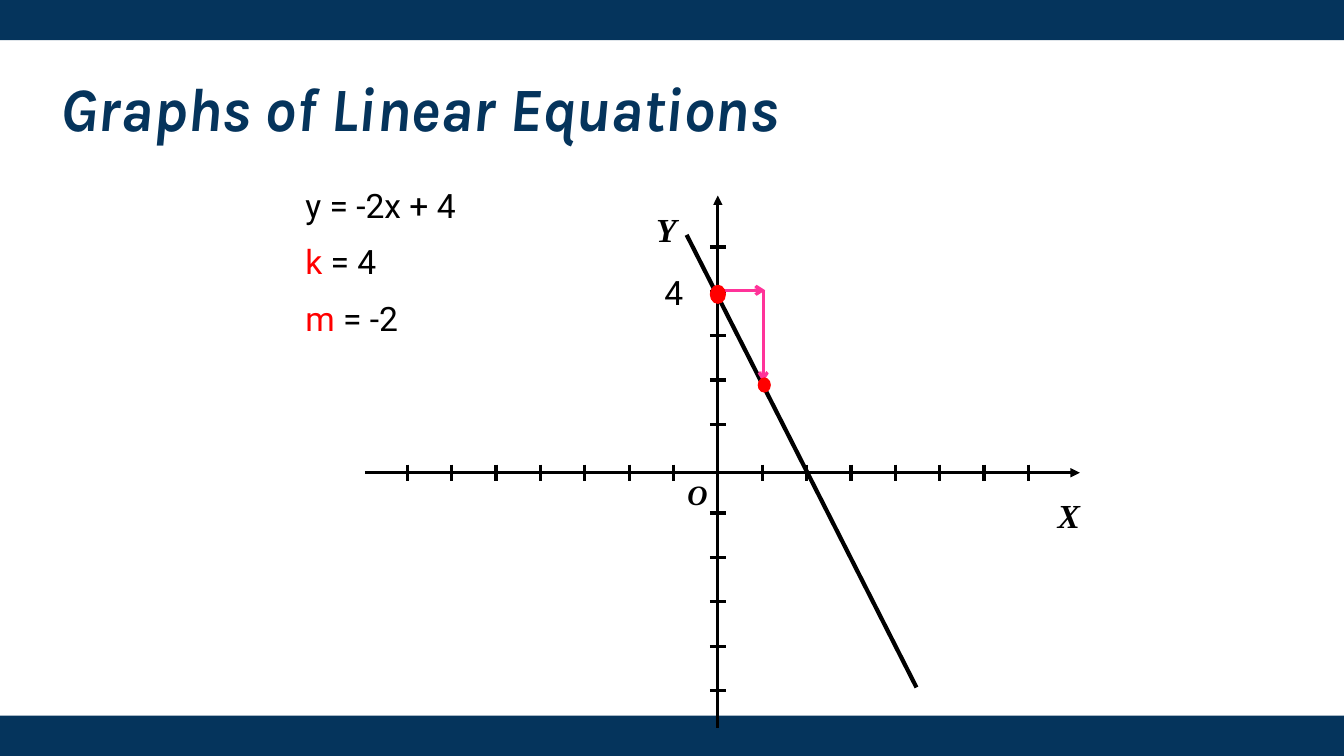
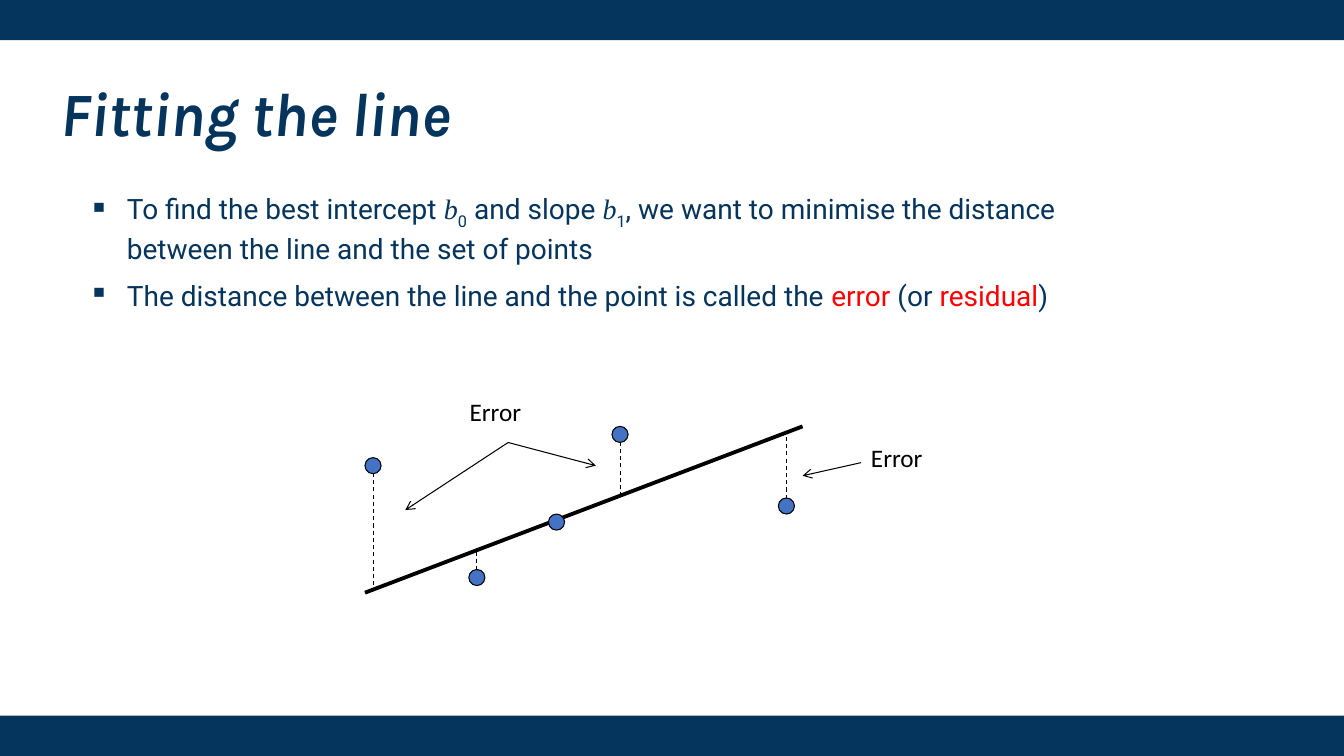
"""Build two slides on linear equations and line fitting."""
from pptx import Presentation
from pptx.dml.color import RGBColor
from pptx.enum.dml import MSO_LINE
from pptx.enum.shapes import MSO_CONNECTOR, MSO_SHAPE
from pptx.enum.text import MSO_ANCHOR
from pptx.oxml.ns import qn
from pptx.util import Inches, Pt
from lxml.etree import SubElement

NAVY, BLACK, RED, PINK, BLUE = "05345C", "000000", "FF0000", "FF3399", "4472C4"
WIDTH, HEIGHT, BAND = 13.33, 7.5, 0.4
HEAD = dict(name="Karla", size=44, color=NAVY, bold=True, italic=True)
MATH = dict(name="Times New Roman", size=24, bold=True, italic=True)
VAR = dict(name="Times New Roman", italic=True)
SUB = dict(base=-30000)


def rgb(code):
    """Turn a hex string into a colour."""
    return RGBColor.from_string(code)


def style(font, name=None, size=None, color=None, bold=None, italic=None):
    """Set the given font traits."""
    if name:
        font.name = name
    if size:
        font.size = Pt(size)
    if color:
        font.color.rgb = rgb(color)
    if bold is not None:
        font.bold = bold
    if italic is not None:
        font.italic = italic


def bullet(para):
    """Give a paragraph a square bullet and a hanging indent."""
    props = para._p.get_or_add_pPr()
    props.set("marL", str(Inches(0.38)))
    props.set("indent", str(-Inches(0.38)))
    SubElement(props, qn("a:buChar"), char="▪")


def text(slide, box, paras, font, gap=0, lead=None, dots=False, anchor=MSO_ANCHOR.TOP):
    """Add a text box; each paragraph is a list of (words, traits) runs."""
    frame = slide.shapes.add_textbox(*map(Inches, box)).text_frame
    frame.word_wrap = True
    frame.vertical_anchor = anchor
    for i, runs in enumerate(paras):
        para = frame.add_paragraph() if i else frame.paragraphs[0]
        if dots:
            bullet(para)
        if i:
            para.space_before = Pt(gap)
        if lead:
            para.line_spacing = lead
        style(para.font, **{"color": BLACK, **font})
        for words, traits in runs:
            run = para.add_run()
            run.text = words
            traits = dict(traits)
            base = traits.pop("base", None)
            style(run.font, **traits)
            if base:
                run._r.get_or_add_rPr().set("baseline", str(base))


def label(slide, box, words, font):
    """Add a text box with one plain line."""
    text(slide, box, [[(words, {})]], font)


def line(slide, start, end, width, color=BLACK, head=None, dash=False):
    """Draw a straight line, with an arrowhead at its end if named."""
    link = slide.shapes.add_connector(
        MSO_CONNECTOR.STRAIGHT, *map(Inches, (*start, *end)))
    link.line.color.rgb = rgb(color)
    link.line.width = Pt(width)
    if dash:
        link.line.dash_style = MSO_LINE.DASH
    props = link.element.spPr
    if head:
        SubElement(props.find(qn("a:ln")), qn("a:tailEnd"), type=head)
    SubElement(props, qn("a:effectLst"))


def shape(slide, kind, box, fill, edge=None):
    """Add a filled preset shape."""
    item = slide.shapes.add_shape(kind, *map(Inches, box))
    item.shadow.inherit = False
    item.fill.solid()
    item.fill.fore_color.rgb = rgb(fill)
    if edge:
        item.line.color.rgb = rgb(edge)
        item.line.width = Pt(0.75)
    else:
        item.line.fill.background()


def dot(slide, x, y, w, h, fill, edge):
    """Add an ellipse centred on a point."""
    shape(slide, MSO_SHAPE.OVAL, (x - w / 2, y - h / 2, w, h), fill, edge)


def page(deck, title, top):
    """Add a slide with bands and a title."""
    slide = deck.slides.add_slide(deck.slide_layouts[6])
    for y in (HEIGHT - BAND, 0):
        shape(slide, MSO_SHAPE.RECTANGLE, (0, y, WIDTH, BAND), NAVY)
    text(slide, (0.5, top, 11.84, 1.12), [[(title, {})]], HEAD,
         lead=0.9, anchor=MSO_ANCHOR.MIDDLE)
    return slide


def axes(slide, x, y):
    """Draw both axes with their ticks and names."""
    line(slide, (x, 7.22), (x, 1.94), 2.25, head="triangle")
    line(slide, (3.62, y), (10.71, y), 2.25, head="triangle")
    step, half = 0.44, 0.08
    for sign in (-1, 1):
        for i in range(1, 8):
            tick = x + sign * i * step
            line(slide, (tick, y - half), (tick, y + half), 2.25)
        for i in range(1, 6):
            tick = y - 0.04 + sign * i * step
            line(slide, (x - half, tick), (x + half, tick), 2.25)
    label(slide, (10.39, 4.86, 0.42, 0.5), "X", MATH)
    label(slide, (6.41, 2.02, 0.47, 0.5), "Y", MATH)
    label(slide, (6.72, 4.69, 0.4, 0.43), "O", {**MATH, "size": 20})


def graph(deck):
    """Build the slide on graphs of linear equations."""
    slide = page(deck, "Graphs of Linear Equations", 0.55)
    axes(slide, 7.12, 4.69)
    plain, red = dict(name="Roboto", size=24), dict(color=RED)
    label(slide, (6.49, 2.65, 0.38, 0.5), "4", plain)
    line(slide, (7.12, 2.88), (7.59, 2.88), 2.25, PINK, "arrow")
    line(slide, (9.09, 6.82), (6.81, 2.33), 3)
    line(slide, (7.57, 2.88), (7.57, 3.79), 2.25, PINK, "arrow")
    text(slide, (2.93, 1.89, 1.92, 1.5), [
        [("y = -2x + 4", {})],
        [("k", red), (" = 4", {})],
        [("m", red), (" = -2", {})],
    ], plain, gap=20.5, lead=0.7)
    dot(slide, 7.12, 2.92, 0.15, 0.18, RED, RED)
    dot(slide, 7.58, 3.82, 0.12, 0.14, RED, RED)


def fit(deck):
    """Build the slide on fitting the line."""
    slide = page(deck, "Fitting the line", 0.6)
    red = dict(color=RED)
    text(slide, (0.78, 1.85, 10.12, 2.37), [
        [("To find the best intercept ", {}), ("b", VAR), ("0", SUB),
         (" and slope ", {}), ("b", VAR), ("1", SUB),
         (", we want to minimise the distance between the line"
          " and the set of points", {})],
        [("The distance between the line and the point is called the ", {}),
         ("error ", red), ("(or ", {}), ("residual", red), (")", {})],
    ], dict(name="Roboto", size=20, color=NAVY), gap=10, dots=True)

    left, low, right, high = 3.62, 5.88, 7.96, 4.23
    slope = (high - low) / (right - left)
    line(slide, (left, low), (right, high), 2.75)
    for x, y in ((3.7, 4.62), (6.15, 4.31), (5.52, 5.18), (7.8, 5.02), (4.73, 5.73)):
        line(slide, (x, y), (x, low + slope * (x - left)), 0.75, dash=True)
        dot(slide, x, y, 0.16, 0.16, BLUE, BLACK)
    for x, y in ((4.56, 3.88), (8.54, 4.34)):
        label(slide, (x, y, 0.95, 0.5), "Error", dict(name="Calibri", size=18))
    for start, end in (((5.04, 4.39), (5.91, 4.62)),
                       ((5.04, 4.39), (4.02, 5.06)),
                       ((8.54, 4.59), (7.96, 4.72))):
        line(slide, start, end, 0.75, head="arrow")


def main():
    """Make the deck and save it."""
    deck = Presentation()
    deck.slide_width, deck.slide_height = Inches(WIDTH), Inches(HEIGHT)
    graph(deck)
    fit(deck)
    deck.save("out.pptx")


if __name__ == "__main__":
    main()
